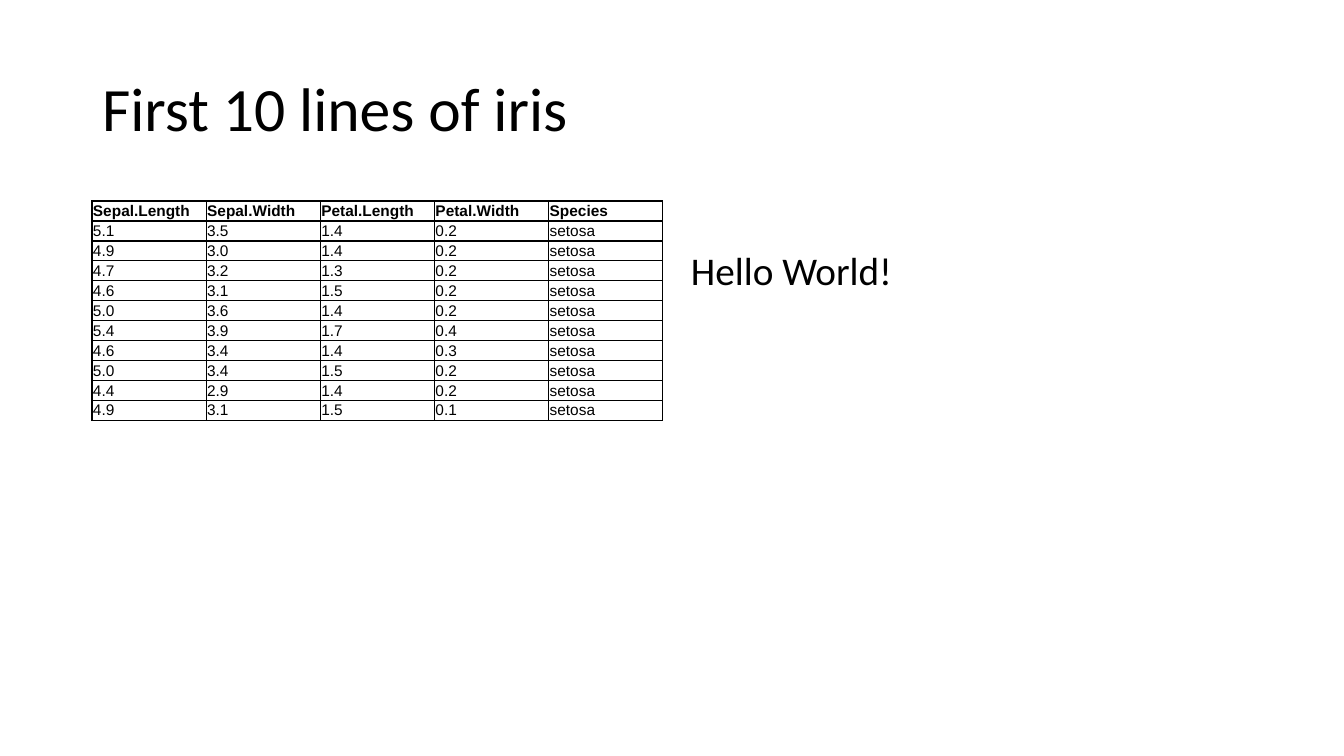
from lxml import etree
from pptx import Presentation
from pptx import util as u
from pptx.dml.color import RGBColor
from pptx.enum import text
from pptx.oxml import ns

PX = 914400 / 100.8
BLACK = RGBColor(0x00, 0x00, 0x00)
WHITE = RGBColor(0xFF, 0xFF, 0xFF)
HEAD = ["Sepal.Length", "Sepal.Width", "Petal.Length", "Petal.Width", "Species"]
IRIS = [
    ["5.1", "3.5", "1.4", "0.2", "setosa"],
    ["4.9", "3.0", "1.4", "0.2", "setosa"],
    ["4.7", "3.2", "1.3", "0.2", "setosa"],
    ["4.6", "3.1", "1.5", "0.2", "setosa"],
    ["5.0", "3.6", "1.4", "0.2", "setosa"],
    ["5.4", "3.9", "1.7", "0.4", "setosa"],
    ["4.6", "3.4", "1.4", "0.3", "setosa"],
    ["5.0", "3.4", "1.5", "0.2", "setosa"],
    ["4.4", "2.9", "1.4", "0.2", "setosa"],
    ["4.9", "3.1", "1.5", "0.1", "setosa"],
]


def px(n):
    """Turn whole pixels into EMU."""
    return u.Emu(round(n * PX))


def write(frame, words, size, font, bold=False):
    """Add one left-aligned run to the first paragraph and return that paragraph."""
    para = frame.paragraphs[0]
    para.alignment = text.PP_ALIGN.LEFT
    run = para.add_run()
    run.text = words
    run.font.size = u.Pt(size)
    run.font.name = font
    run.font.bold = bold
    run.font.color.rgb = BLACK
    return para


def title(slide, box, words):
    """Place and format the title placeholder."""
    shape = slide.shapes.title
    shape.left, shape.top, shape.width, shape.height = map(px, box)
    frame = shape.text_frame
    frame.word_wrap = True
    frame.auto_size = text.MSO_AUTO_SIZE.NONE
    frame.vertical_anchor = text.MSO_ANCHOR.MIDDLE
    write(frame, words, 44, "Calibri").line_spacing = 0.9


def border(cell):
    """Draw a thin black line on all four sides of a cell."""
    props = cell._tc.get_or_add_tcPr()
    for side in "LRTB":
        line = etree.SubElement(props, ns.qn(f"a:ln{side}"), w=str(u.Pt(1)))
        fill = etree.SubElement(line, ns.qn("a:solidFill"))
        etree.SubElement(fill, ns.qn("a:srgbClr"), val=str(BLACK))


def grid(slide, box, rows):
    """Fill the box with a bordered table whose first row is bold."""
    table = slide.shapes.add_table(len(rows), len(rows[0]), *map(px, box)).table
    table.horz_banding = False
    for col in table.columns:
        col.width = px(box[2] / len(rows[0]))
    for r, row in enumerate(rows):
        table.rows[r].height = px(box[3] / len(rows))
        for c, words in enumerate(row):
            cell = table.cell(r, c)
            border(cell)
            cell.fill.solid()
            cell.fill.fore_color.rgb = WHITE
            cell.margin_left = cell.margin_right = px(1)
            cell.margin_top = cell.margin_bottom = px(1)
            cell.vertical_anchor = text.MSO_ANCHOR.MIDDLE
            write(cell.text_frame, words, 11, "Arial", r == 0)


def body(slide, box, words):
    """Write the body text one line below the top of the box."""
    frame = slide.shapes.add_textbox(*map(px, box)).text_frame
    frame.word_wrap = True
    frame.margin_left = px(11)
    frame.margin_top = px(51)
    write(frame, words, 28, "Calibri").line_spacing = 0.9


def main():
    """Build the slide and save it."""
    deck = Presentation()
    deck.slide_width, deck.slide_height = px(1344), px(756)
    slide = deck.slides.add_slide(deck.slide_layouts[5])
    title(slide, (92, 39, 1159, 146), "First 10 lines of iris")
    grid(slide, (92, 201, 571, 220), [HEAD] + IRIS)
    body(slide, (680, 201, 571, 480), "Hello World!")
    deck.save("out.pptx")


if __name__ == "__main__":
    main()
